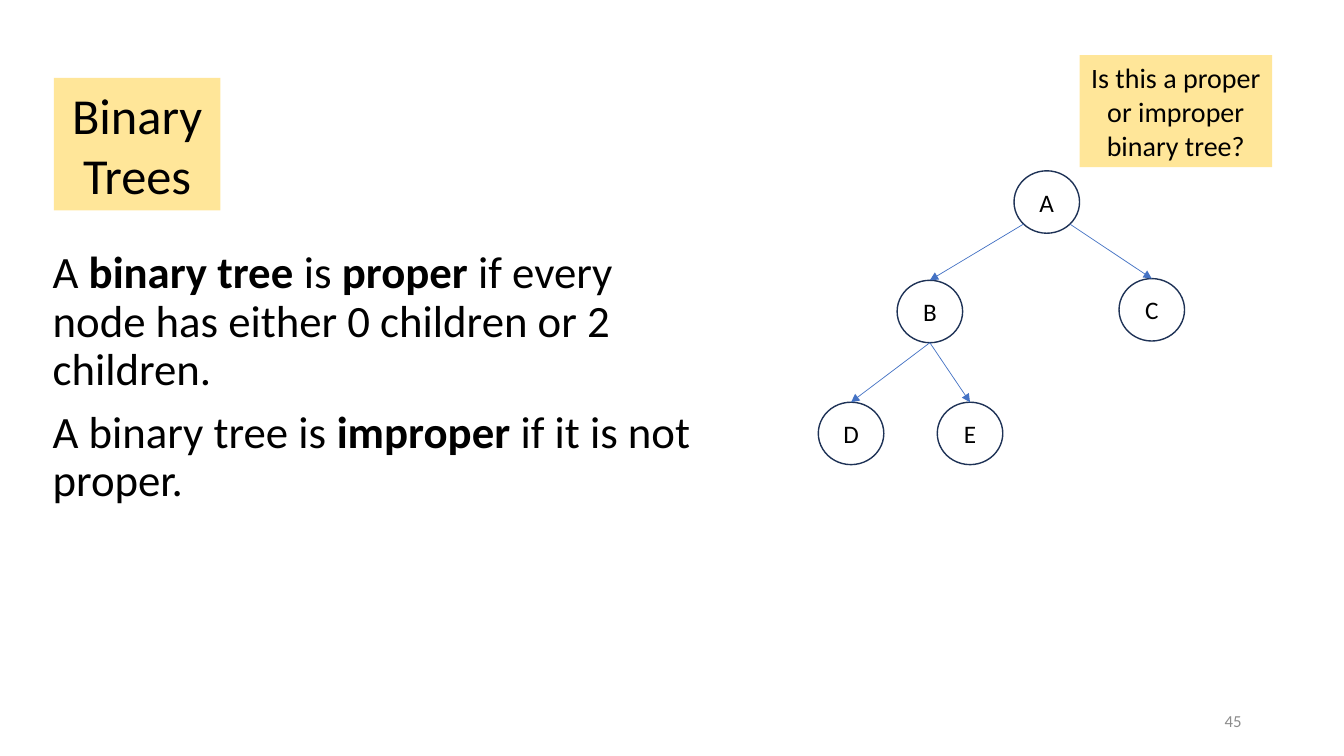
"""Build the slide on proper and improper binary trees."""
from dataclasses import dataclass
from math import cos, radians, sin

from pptx import Presentation
from pptx import oxml
from pptx import util as u
from pptx.dml import color
from pptx.enum import shapes, text

COLOURS = {"ink": "000000", "note": "FFE699", "ring": "1E3256", "arrow": "4472C4", "number": "8C8C8C"}
NODE_WIDTH, NODE_HEIGHT = 46.8, 44.6
DRAWING = 'xmlns:a="http://schemas.openxmlformats.org/drawingml/2006/main"'


@dataclass
class Node:
    name: str
    x: float
    y: float


@dataclass
class Edge:
    parent: str
    child: str
    angle: float


@dataclass
class Span:
    words: str
    bold: bool = False


NODES = [
    Node("A", 747.7, 144.3),
    Node("B", 664.2, 222.5),
    Node("C", 822.7, 221.3),
    Node("D", 607.9, 309.6),
    Node("E", 692.9, 309.6),
]
EDGES = [Edge("A", "B", 135), Edge("A", "C", 45), Edge("B", "D", 90), Edge("B", "E", 90)]
DEFINITIONS = [
    [Span("A "), Span("binary tree ", True), Span("is "), Span("proper", True),
     Span(" if every node has either 0 children or 2 children.")],
    [Span("A binary tree is "), Span("improper", True), Span(" if it is not proper.")],
]


def rgb(name: str) -> color.RGBColor:
    """Look up a named colour."""
    return color.RGBColor.from_string(COLOURS[name])


def apply(target, **values) -> None:
    """Set each given attribute on the target."""
    for name, value in values.items():
        setattr(target, name, value)


def place(box, left: float, top: float, width: float, height: float) -> None:
    """Position a box in points."""
    apply(box, left=u.Pt(left), top=u.Pt(top), width=u.Pt(width), height=u.Pt(height))


def write(box, paragraphs: list[list[Span]], size: float, align=text.PP_ALIGN.CENTER,
          anchor=text.MSO_ANCHOR.MIDDLE, ink: str = "ink", spacing: float = 1.0, before: float = 0) -> None:
    """Fill a box with formatted paragraphs."""
    frame = box.text_frame
    apply(frame, word_wrap=True, auto_size=text.MSO_AUTO_SIZE.NONE, vertical_anchor=anchor)
    for index, spans in enumerate(paragraphs):
        para = frame.add_paragraph() if index else frame.paragraphs[0]
        apply(para, alignment=align, line_spacing=spacing, space_before=u.Pt(before))
        for span in spans:
            run = para.add_run()
            run.text = span.words
            apply(run.font, name="Calibri", size=u.Pt(size), bold=span.bold)
            run.font.color.rgb = rgb(ink)


def paint(box, fill: str) -> None:
    """Give a box a solid fill and no outline."""
    box.fill.solid()
    box.fill.fore_color.rgb = rgb(fill)
    box.line.fill.background()


def add_node(page, node: Node):
    """Draw a labelled tree node around its centre."""
    circle = page.shapes.add_shape(shapes.MSO_SHAPE.OVAL, 0, 0, 0, 0)
    place(circle, node.x - NODE_WIDTH / 2, node.y - NODE_HEIGHT / 2, NODE_WIDTH, NODE_HEIGHT)
    circle.shadow.inherit = False
    circle.fill.background()
    circle.line.color.rgb = rgb("ring")
    circle.line.width = u.Pt(1)
    write(circle, [[Span(node.name)]], 18)
    margins = ("margin_left", "margin_right", "margin_top", "margin_bottom")
    apply(circle.text_frame, **dict.fromkeys(margins, 0))
    return circle


def add_edge(page, parent: Node, child, angle: float) -> None:
    """Draw an arrow from the parent's rim to the top of the child."""
    turn = radians(angle)
    start_x = u.Pt(parent.x + NODE_WIDTH / 2 * cos(turn))
    start_y = u.Pt(parent.y + NODE_HEIGHT / 2 * sin(turn))
    arrow = page.shapes.add_connector(
        shapes.MSO_CONNECTOR.STRAIGHT, start_x, start_y, child.left + child.width // 2, child.top)
    arrow.end_connect(child, 0)
    arrow.line.color.rgb = rgb("arrow")
    arrow.line.width = u.Pt(0.5)
    arrow.line._get_or_add_ln().append(oxml.parse_xml(f'<a:tailEnd {DRAWING} type="triangle"/>'))
    arrow._element.spPr.append(oxml.parse_xml(f"<a:effectLst {DRAWING}/>"))


def add_definitions(page) -> None:
    """Write the definitions in the body placeholder without bullets."""
    body = page.placeholders[1]
    place(body, 30.4, 175, 474.5, 272.9)
    write(body, DEFINITIONS, 32, text.PP_ALIGN.LEFT, text.MSO_ANCHOR.TOP, spacing=0.9, before=10)
    for para in body.text_frame.paragraphs:
        properties = para._p.get_or_add_pPr()
        properties.set("marL", "0")
        properties.set("indent", "0")
        properties.append(oxml.parse_xml(f"<a:buNone {DRAWING}/>"))


def main() -> None:
    """Assemble and save the deck."""
    deck = Presentation()
    apply(deck, slide_width=u.Pt(960), slide_height=u.Pt(540))
    page = deck.slides.add_slide(deck.slide_layouts[1])

    title = page.shapes.title
    place(title, 38.5, 55.7, 119, 94.5)
    paint(title, "note")
    write(title, [[Span("Binary Trees")]], 36)
    add_definitions(page)

    circles = {node.name: add_node(page, node) for node in NODES}
    parents = {node.name: node for node in NODES}
    for edge in EDGES:
        add_edge(page, parents[edge.parent], circles[edge.child], edge.angle)

    question = page.shapes.add_shape(shapes.MSO_SHAPE.RECTANGLE, 0, 0, 0, 0)
    place(question, 771.1, 39.5, 137.5, 80)
    question.shadow.inherit = False
    paint(question, "note")
    write(question, [[Span("Is this a proper or improper binary tree?")]], 20)

    number = page.shapes.add_textbox(0, 0, 0, 0)
    place(number, 678, 500.5, 216, 28.8)
    write(number, [[Span("45")]], 12, text.PP_ALIGN.RIGHT, ink="number")
    deck.save("out.pptx")


if __name__ == "__main__":
    main()
